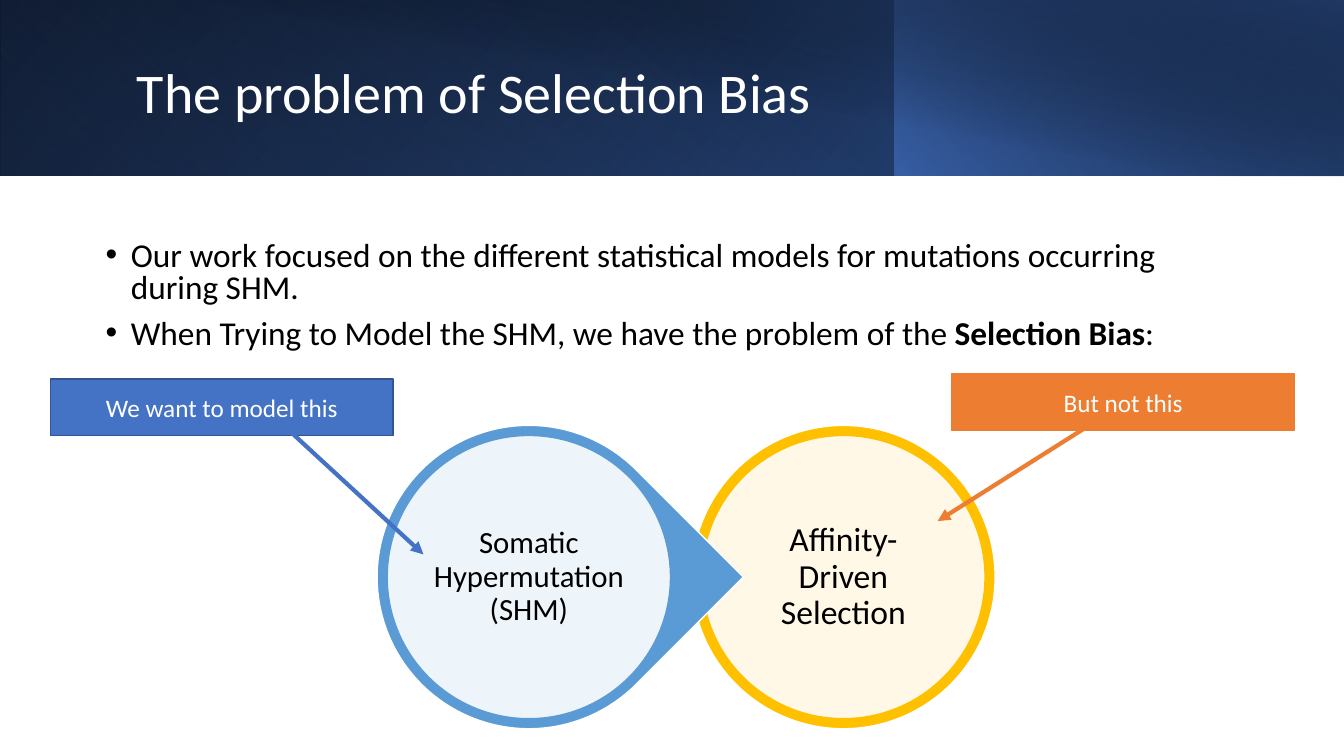
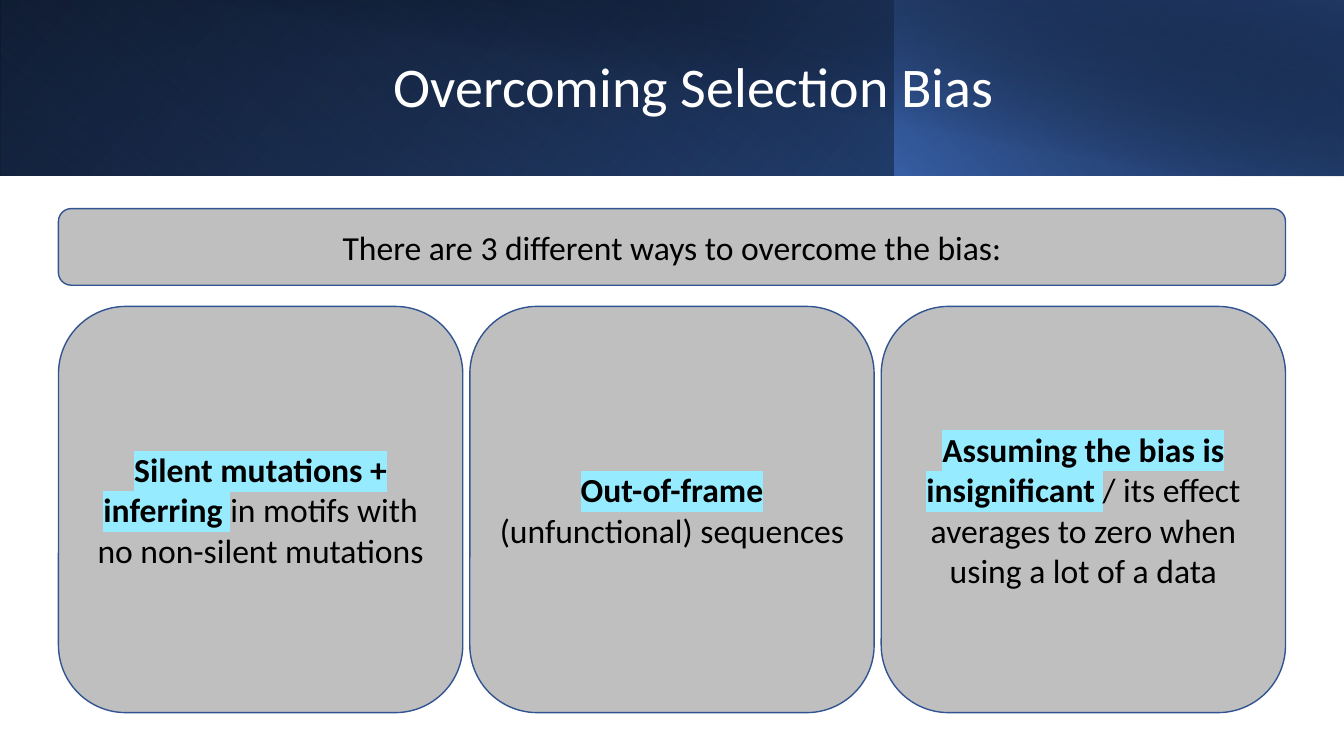
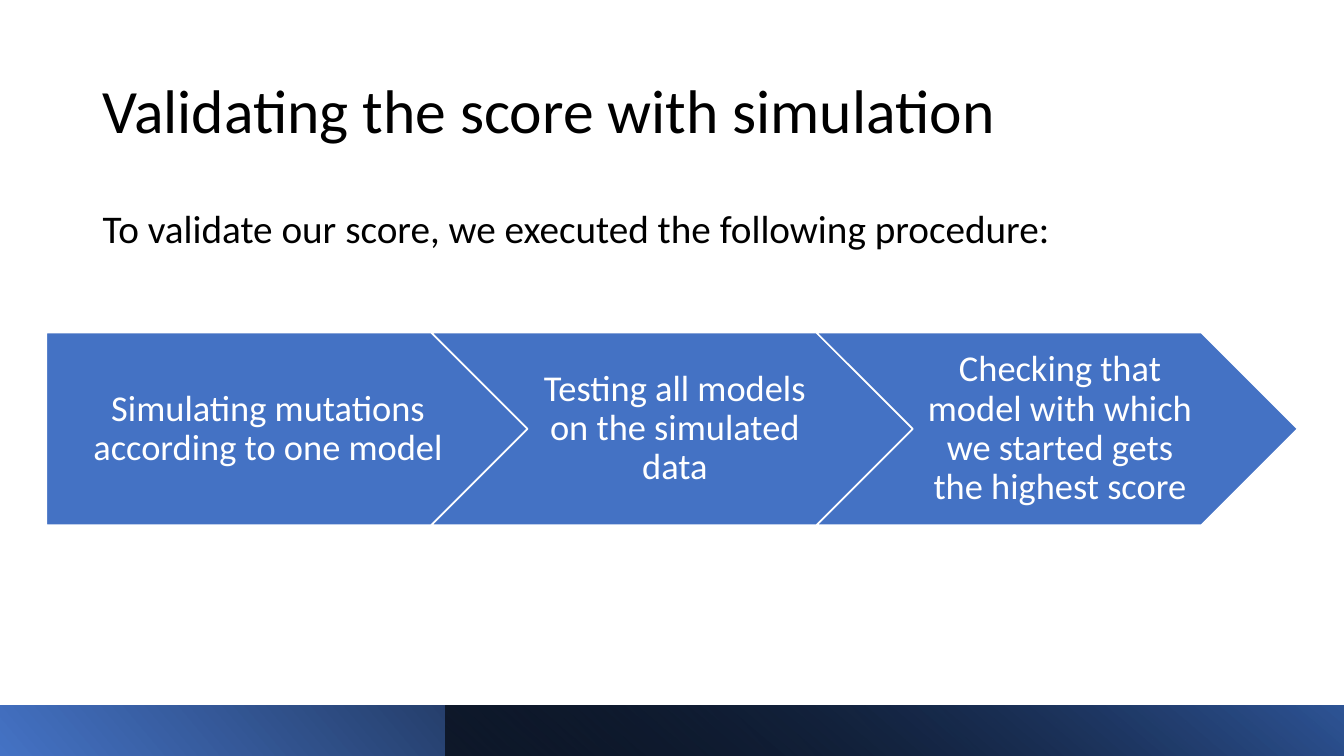
from dataclasses import dataclass
from pptx import Presentation
from pptx.dml.color import RGBColor
from pptx.enum.shapes import MSO_CONNECTOR, MSO_SHAPE
from pptx.enum.text import MSO_ANCHOR, PP_ALIGN
from pptx.oxml.ns import qn
from pptx.util import Inches, Pt
from lxml.etree import SubElement


@dataclass(frozen=True)
class Theme:
    """Colours, font and type sizes of the deck."""
    font: str = "Calibri"
    black: str = "000000"
    white: str = "FFFFFF"
    blue: str = "4472C4"
    navy: str = "203864"
    deep: str = "2F5597"
    edge: str = "325491"
    sky: str = "5B9BD5"
    gold: str = "FFC000"
    orange: str = "ED7D31"
    gray: str = "BFBFBF"
    mark: str = "97EBFF"
    title: float = 40
    head: float = 44
    lead: float = 28
    step: float = 26
    card: float = 24
    body: float = 23.8
    small: float = 22
    label: float = 18


T = Theme()
RECT = MSO_SHAPE.RECTANGLE
ROUND = MSO_SHAPE.ROUNDED_RECTANGLE
OVAL = MSO_SHAPE.OVAL


def rgb(code):
    """Turn a hex code into a colour."""
    return RGBColor.from_string(code)


def inch(box):
    """Turn numbers into lengths."""
    return [Inches(n) for n in box]


def fade(shape, *alphas):
    """Set the opacity in percent of each fill colour in turn."""
    for node, alpha in zip(shape.element.spPr.iter(qn("a:srgbClr")), alphas):
        SubElement(node, qn("a:alpha")).set("val", str(alpha * 1000))


def add_run(para, text, size, color, style=""):
    """Add a run; style b is bold and h is highlighted."""
    run = para.add_run()
    run.text = text
    font = run.font
    font.name, font.size, font.bold = T.font, Pt(size), "b" in style
    font.color.rgb = rgb(color)
    if "h" in style:
        rpr = run._r.get_or_add_rPr()
        mark = SubElement(rpr, qn("a:highlight"))
        SubElement(mark, qn("a:srgbClr")).set("val", T.mark)
        rpr.find(qn("a:latin")).addprevious(mark)


def write(shape, paras, size, color=T.black, align=PP_ALIGN.CENTER,
          space=None, anchor=MSO_ANCHOR.MIDDLE, inset=None):
    """Fill a shape with paragraphs, each a list of runs."""
    frame = shape.text_frame
    frame.word_wrap = True
    frame.vertical_anchor = anchor
    if inset:
        (frame.margin_left, frame.margin_top,
         frame.margin_right, frame.margin_bottom) = inch(inset)
    for i, runs in enumerate(paras):
        para = frame.add_paragraph() if i else frame.paragraphs[0]
        para.alignment = align
        if space:
            para.line_spacing = space
        for text, style in runs:
            add_run(para, text, size, color, style)


def add_text(slide, box, text, size, color=T.black, **more):
    """Add a text box with one paragraph."""
    shape = slide.shapes.add_textbox(*inch(box))
    write(shape, [[(text, "")]], size, color, space=0.9, **more)


def add_form(slide, kind, box, fill, line):
    """Add a filled and outlined preset shape."""
    shape = slide.shapes.add_shape(kind, *inch(box))
    shape.shadow.inherit = False
    shape.fill.solid()
    shape.fill.fore_color.rgb = rgb(fill)
    shape.line.color.rgb = rgb(line)
    shape.line.width = Pt(1)
    return shape


def add_band(slide, box, angle, stops, flip=True, turn=0):
    """Add a gradient band; stops are place, colour and opacity."""
    shape = slide.shapes.add_shape(RECT, *inch(box))
    shape.shadow.inherit = False
    shape.line.fill.background()
    shape.rotation = turn
    if flip:
        shape.element.spPr.xfrm.set("flipH", "1")
    shape.fill.gradient()
    shape.fill.gradient_angle = 360 - angle
    for stop, (place, color, _) in zip(shape.fill.gradient_stops, stops):
        stop.position = place / 100
        stop.color.rgb = rgb(color)
    fade(shape, *(alpha for _, _, alpha in stops))


def add_header(slide):
    """Add the layered top band."""
    add_band(slide, (0, 0, 13.33, 1.74), 140,
             [(0, T.black, 100), (100, T.deep, 100)])
    add_band(slide, (0, 0, 8.88, 1.74), 230,
             [(20, T.blue, 0), (100, T.navy, 55)], turn=180)
    add_band(slide, (8.87, 0, 4.46, 1.74), 220,
             [(0, T.blue, 66), (100, T.black, 30)])
    add_band(slide, (0.5, 0, 12.83, 1.75), 280,
             [(50, T.black, 0), (99, T.navy, 52)], flip=False)


def add_footer(slide):
    """Add the layered bottom band."""
    add_band(slide, (0, 7, 13.33, 0.5), 40,
             [(0, T.blue, 100), (78, T.black, 100)], turn=180)
    add_band(slide, (4.42, 7, 8.92, 0.5), 230,
             [(0, T.black, 63), (100, T.deep, 100)])


def add_list(slide, box, paras):
    """Add a bulleted list."""
    shape = slide.shapes.add_textbox(*inch(box))
    write(shape, paras, T.body, align=PP_ALIGN.LEFT, space=0.8)
    for para in shape.text_frame.paragraphs:
        para.space_before = Pt(10)
        ppr = para._p.get_or_add_pPr()
        ppr.set("marL", str(Inches(0.25)))
        ppr.set("indent", str(-Inches(0.25)))
        SubElement(ppr, qn("a:buFont")).set("typeface", "Arial")
        SubElement(ppr, qn("a:buChar")).set("char", "•")


def add_ring(slide, left, kind, color, text, size, turn=0):
    """Add a ring with a pale disc and a caption."""
    top = 4.22
    ring = add_form(slide, kind, (left, top, 3.01, 3.01), color, T.white)
    ring.rotation = turn
    disc = add_form(slide, OVAL, (left + 0.1, top + 0.1, 2.81, 2.81),
                    T.white, color)
    fade(disc, 90)
    add_text(slide, (left + 0.5, top + 0.5, 2.01, 2.01), text, size,
             align=PP_ALIGN.CENTER, inset=(0.04, 0.03, 0.04, 0.03))


def add_label(slide, left, top, text, fill, line, start, end):
    """Add a label and the arrow that leads from it."""
    shape = add_form(slide, RECT, (left, top, 3.4, 0.56), fill, line)
    write(shape, [[(text, "")]], T.label, T.white)
    arrow = slide.shapes.add_connector(MSO_CONNECTOR.STRAIGHT,
                                       *inch(start + end))
    arrow.line.color.rgb = rgb(fill)
    arrow.line.width = Pt(3)
    tail = SubElement(arrow.line._get_or_add_ln(), qn("a:tailEnd"))
    tail.set("type", "triangle")
    SubElement(arrow.element.spPr, qn("a:effectLst"))


def add_card(slide, box, runs):
    """Add a grey rounded card."""
    shape = add_form(slide, ROUND, box, T.gray, T.edge)
    write(shape, [runs], T.card)


def show_bias(slide):
    """Build the slide on the problem."""
    add_header(slide)
    add_text(slide, (1.26, 0.24, 10.82, 1.42),
             "The problem of Selection Bias", T.title, T.white,
             align=PP_ALIGN.LEFT)
    add_list(slide, (0.95, 2.25, 11.18, 1.4), [
        [("Our work focused on the different statistical models for "
          "mutations occurring during SHM.", "")],
        [("When Trying to Model the SHM, we have the problem of the ", ""),
         ("Selection Bias", "b"), (":", "")]])
    add_ring(slide, 6.86, OVAL, T.gold, "Affinity-Driven Selection", T.card)
    add_ring(slide, 3.74, MSO_SHAPE.TEAR, T.sky,
             "Somatic Hypermutation (SHM)", T.small, 45)
    add_label(slide, 0.5, 3.76, "We want to model this", T.blue, T.edge,
              (2.78, 4.19), (4.2, 5.5))
    add_label(slide, 9.44, 3.71, "But not this", T.orange, T.orange,
              (10.93, 4.14), (9.3, 5.17))


def show_ways(slide):
    """Build the slide on the three ways."""
    add_header(slide)
    add_text(slide, (1.47, 0.32, 10.82, 1.13), "Overcoming Selection Bias",
             T.title, T.white, align=PP_ALIGN.CENTER)
    add_card(slide, (0.58, 2.07, 12.17, 0.76),
             [("There are 3 different ways to overcome the bias:", "")])
    ways = [
        [("Silent mutations + inferring", "bh"), (" ", "h"),
         ("in motifs with no non-silent mutations", "")],
        [("Out-of-frame", "bh"), (" (unfunctional) sequences", "")],
        [("Assuming the bias is insignificant", "bh"), (" ", "h"),
         ("/ its effect averages to zero when using a lot of a data", "")]]
    for i, runs in enumerate(ways):
        add_card(slide, (0.58 + 4.08 * i, 3.04, 4.01, 4.03), runs)


def show_steps(slide):
    """Build the slide on the procedure."""
    add_footer(slide)
    add_text(slide, (0.92, 0.4, 11.5, 1.45),
             "Validating the score with simulation", T.head,
             align=PP_ALIGN.LEFT)
    steps = ["Simulating mutations according to one model",
             "Testing all models on the simulated data",
             "Checking that model with which we started gets the highest "
             "score"]
    for i, step in enumerate(steps):
        left = 0.46 + 3.82 * i
        kind = MSO_SHAPE.CHEVRON if i else MSO_SHAPE.PENTAGON
        shift, width, pad = (0.95, 2.86, 0.11) if i else (0, 4.29, 0.15)
        add_form(slide, kind, (left, 3.3, 4.77, 1.91), T.blue, T.white)
        add_text(slide, (left + shift, 3.3, width, 1.91), step, T.step,
                 T.white, align=PP_ALIGN.CENTER,
                 inset=(pad, 0.08, 0.04, 0.08))
    add_text(slide, (0.92, 2.03, 11.5, 4.62),
             "To validate our score, we executed the following procedure:",
             T.lead, align=PP_ALIGN.LEFT, anchor=MSO_ANCHOR.TOP)


def main():
    """Build and save the deck."""
    deck = Presentation()
    deck.slide_width, deck.slide_height = inch((13.33, 7.5))
    for show in (show_bias, show_ways, show_steps):
        show(deck.slides.add_slide(deck.slide_layouts[6]))
    deck.save("out.pptx")


main()
